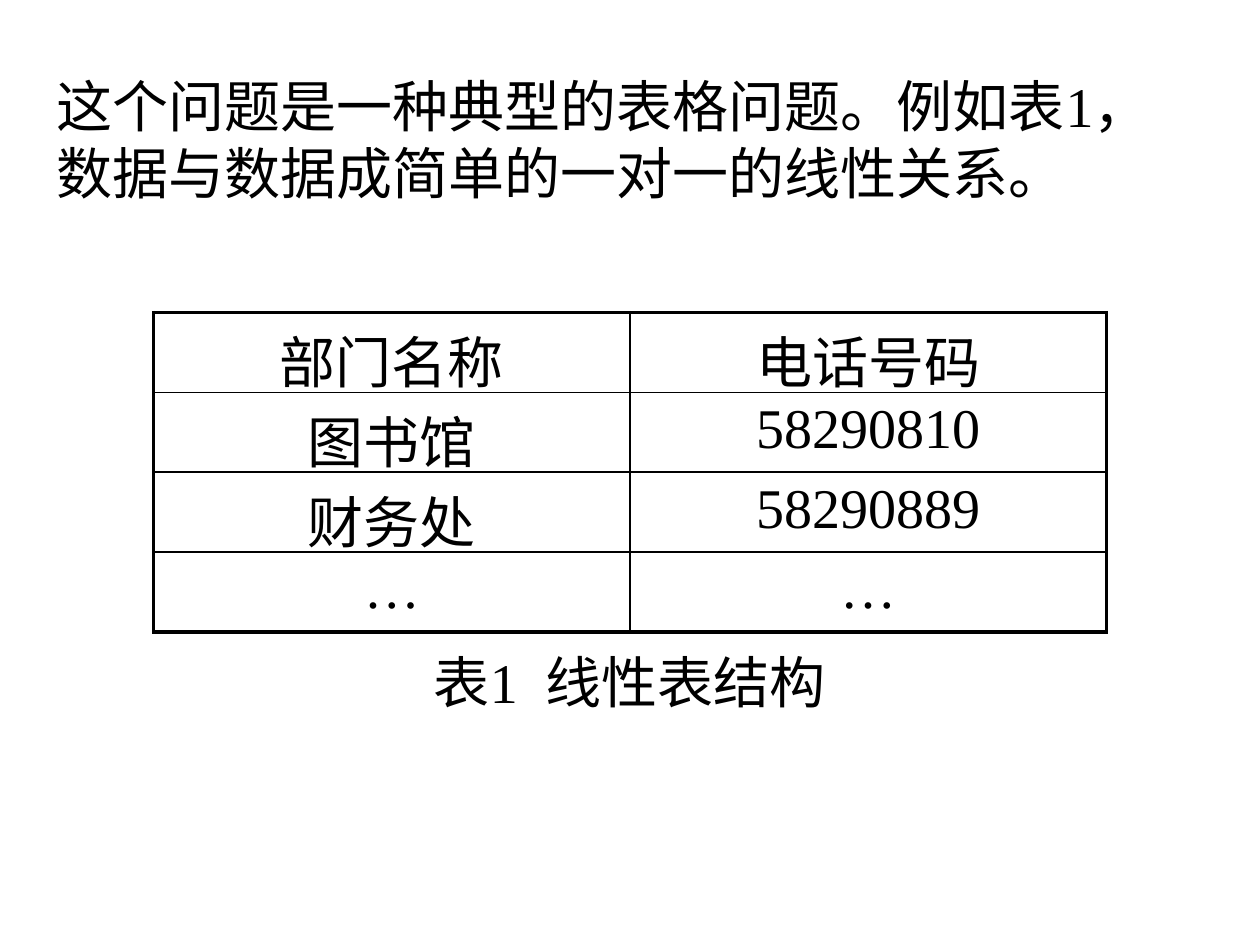
from lxml.etree import fromstring
from pptx import Presentation
from pptx.dml.color import RGBColor
from pptx.enum.text import MSO_ANCHOR, PP_ALIGN
from pptx.util import Inches, Pt

DRAWING = "http://schemas.openxmlformats.org/drawingml/2006/main"


def add_text(paragraph, text, color="000000"):
    run = paragraph.add_run()
    run.text = text
    run.font.name = "Times New Roman"
    run.font.size = Pt(32)
    run.font.bold = False
    run.font.color.rgb = RGBColor.from_string(color)


def set_borders(cell, widths, color="000000"):
    properties = cell._tc.get_or_add_tcPr()
    for index, (side, width) in enumerate(zip("LRTB", widths)):
        fill = f'<a:solidFill><a:srgbClr val="{color}"/></a:solidFill>' if width else "<a:noFill/>"
        line = f'<a:ln{side} xmlns:a="{DRAWING}" w="{Pt(width)}">{fill}</a:ln{side}>'
        properties.insert(index, fromstring(line))


presentation = Presentation()
presentation.slide_width = Inches(10)
presentation.slide_height = Inches(7.5)
slide = presentation.slides.add_slide(presentation.slide_layouts[6])

intro = slide.shapes.add_textbox(Inches(0.35), Inches(0.52), Inches(9.22), Inches(1.17))
intro.text_frame.word_wrap = True
add_text(
    intro.text_frame.paragraphs[0],
    "这个问题是一种典型的表格问题。例如表1，数据与数据成简单的一对一的线性关系。",
)

entries = [
    ("部门名称", "电话号码"),
    ("图书馆", "58290810"),
    ("财务处", "58290889"),
    ("…", "…"),
]
caption_row = len(entries)
table = slide.shapes.add_table(
    caption_row + 1, 2, Inches(1.22), Inches(2.48), Inches(7.56), Inches(3.17)
).table
table.first_row = False
table.horz_banding = False
table.cell(caption_row, 0).merge(table.cell(caption_row, 1))

outer, inner = 2.25, 1
for row_index, row in enumerate(entries + [("表1  线性表结构", "")]):
    for column_index, text in enumerate(row):
        cell = table.cell(row_index, column_index)
        cell.fill.background()
        cell.vertical_anchor = MSO_ANCHOR.TOP
        if row_index == caption_row:
            widths = (0, 0, outer, 0)
        else:
            widths = (
                outer if column_index == 0 else inner,
                outer if column_index == 1 else inner,
                outer if row_index == 0 else inner,
                outer if row_index == caption_row - 1 else inner,
            )
        set_borders(cell, widths)
        if text:
            paragraph = cell.text_frame.paragraphs[0]
            paragraph.alignment = PP_ALIGN.CENTER
            add_text(paragraph, text)

presentation.save("out.pptx")
